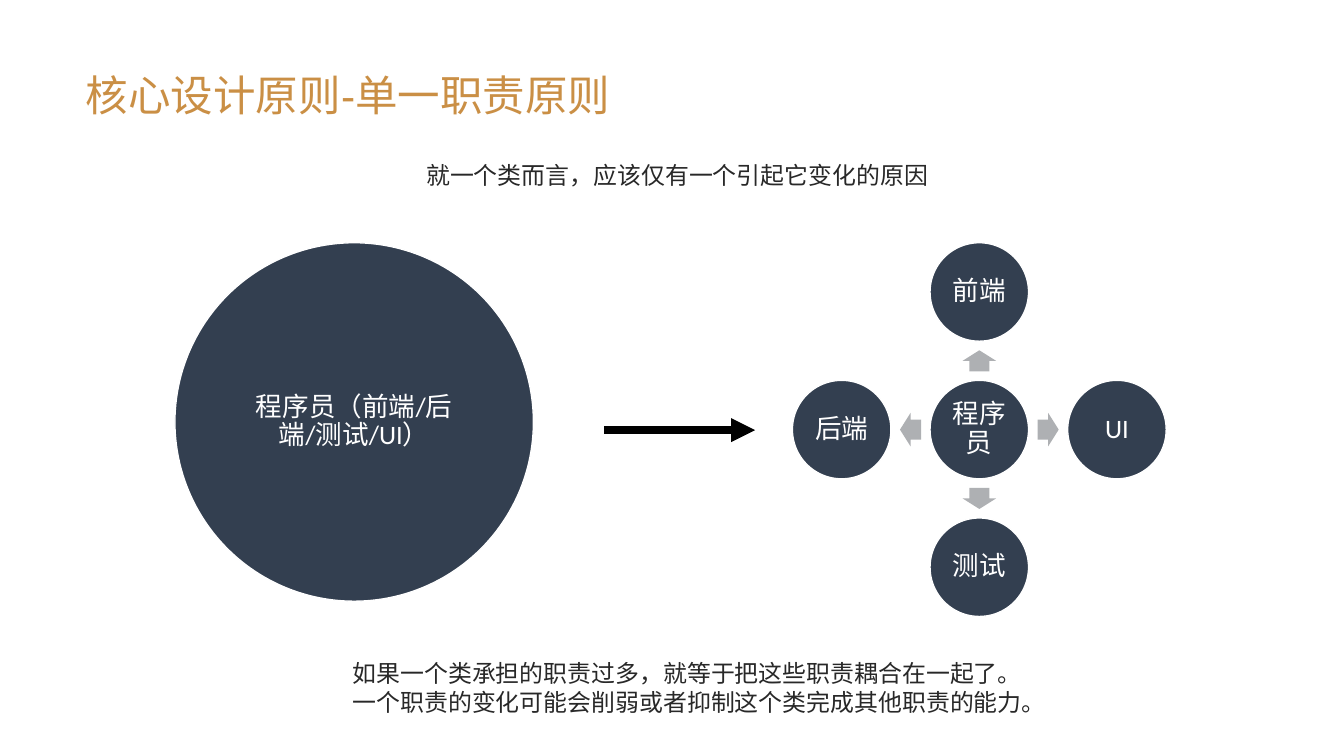
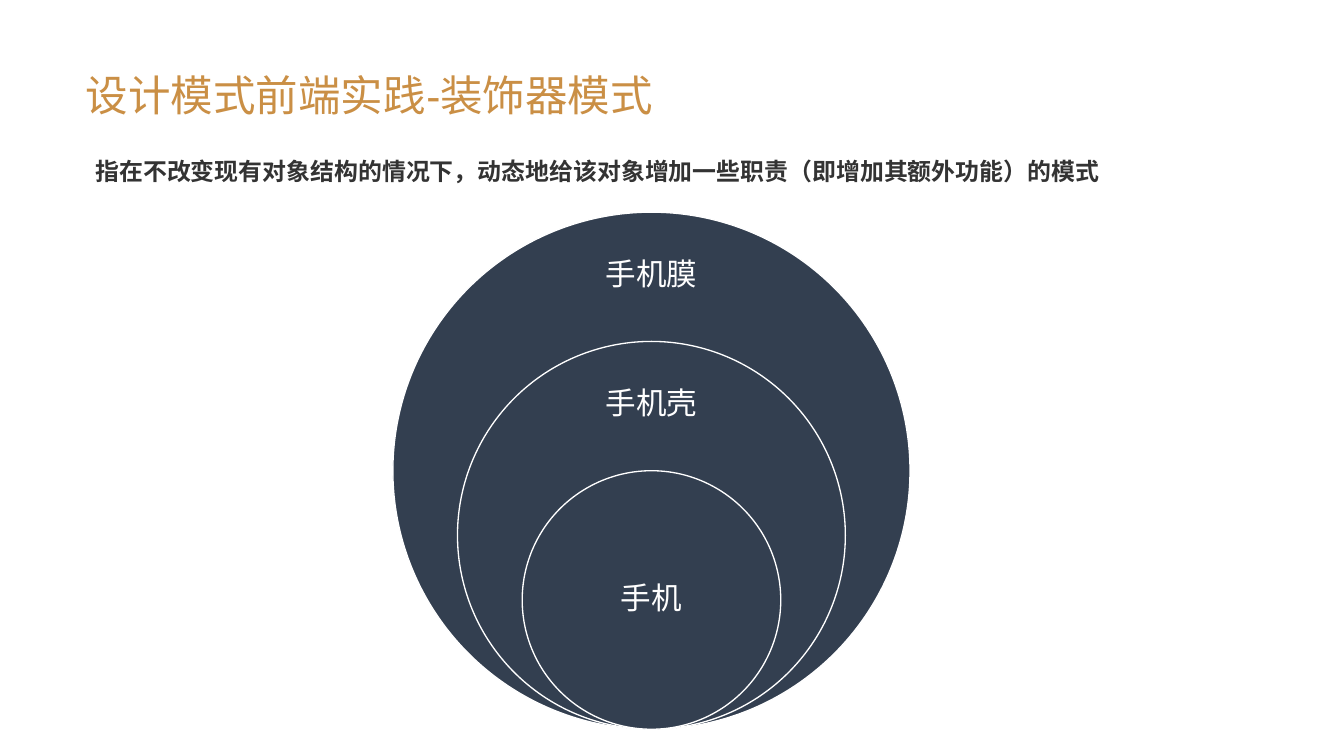
from pptx import Presentation
from pptx import util as u
from pptx.dml.color import RGBColor
from pptx.enum import shapes, text
from pptx.oxml.ns import qn
from lxml import etree

PX = 9144  # 100 px to the inch
COLORS = {"gold": "CA8F45", "navy": "333F50", "grey": "AEB0B3", "white": "FFFFFF",
          "black": "000000", "ink": "282828", "dark": "333333"}
CJK = "Noto Sans CJK SC"


def px(*lengths):
    return [u.Emu(round(length * PX)) for length in lengths]


def rgb(name):
    return RGBColor.from_string(COLORS[name])


def set_text(shape, words, size, font, color, inset, bold=None, centered=False):
    frame = shape.text_frame
    frame.word_wrap = True
    frame.margin_left, frame.margin_top, frame.margin_right, frame.margin_bottom = px(*inset)
    frame.text = words
    paragraph = frame.paragraphs[0]
    if centered:
        frame.vertical_anchor = text.MSO_ANCHOR.MIDDLE
        paragraph.alignment = text.PP_ALIGN.CENTER
        paragraph.line_spacing = 0.9
    run = paragraph.runs[0]
    run.font.size, run.font.name, run.font.bold = u.Pt(size), font, bold
    run.font.color.rgb = rgb(color)
    etree.SubElement(run.font._element, qn("a:ea")).set("typeface", CJK)
    return frame


def add_title(slide, words):
    box = slide.shapes.add_textbox(*px(90, 72, 810, 54))
    frame = set_text(box, words, 32, "Arial", "gold", (0, 0, 0, 0))
    frame.vertical_anchor = text.MSO_ANCHOR.MIDDLE


def add_statement(slide, box, words, color="ink", bold=None, wrap=True):
    statement = slide.shapes.add_textbox(*px(*box))
    frame = set_text(statement, words, 18, CJK, color, (10, 5, 10, 5), bold)
    frame.word_wrap = wrap
    frame.auto_size = text.MSO_AUTO_SIZE.SHAPE_TO_FIT_TEXT


def add_circle(slide, left, top, diameter, label=None, size=20):
    circle = slide.shapes.add_shape(shapes.MSO_SHAPE.OVAL, *px(left, top, diameter, diameter))
    circle.shadow.inherit = False
    circle.fill.solid()
    circle.fill.fore_color.rgb = rgb("navy")
    circle.line.color.rgb = rgb("white")
    circle.line.width = u.Pt(1)
    if label:
        set_text(circle, label, size, "Calibri", "white", (3, 3, 3, 3), centered=True)


def add_spoke(slide, center_x, center_y, angle):
    width, height = 22, 35
    spoke = slide.shapes.add_shape(
        shapes.MSO_SHAPE.RIGHT_ARROW,
        *px(center_x - width / 2, center_y - height / 2, width, height))
    spoke.adjustments[0], spoke.adjustments[1] = 0.6, 0.5
    spoke.rotation = angle
    spoke.shadow.inherit = False
    spoke.fill.solid()
    spoke.fill.fore_color.rgb = rgb("grey")
    spoke.line.fill.background()


def add_hub(slide, left, top, side, hub, roles):
    """Place a hub circle with one role above, right, below and left of it."""
    node = 103
    pitch = (side - node) / 2
    center_x, center_y = left + side / 2, top + side / 2
    add_circle(slide, center_x - node / 2, center_y - node / 2, node, hub)
    directions = [(0, -1, 270), (1, 0, 0), (0, 1, 90), (-1, 0, 180)]
    for role, (dx, dy, angle) in zip(roles, directions):
        add_spoke(slide, center_x + dx * pitch / 2, center_y + dy * pitch / 2, angle)
        add_circle(slide, center_x + dx * pitch - node / 2,
                   center_y + dy * pitch - node / 2, node, role)


def add_split_arrow(slide, left, right, y):
    arrow = slide.shapes.add_connector(shapes.MSO_CONNECTOR.STRAIGHT, *px(left, y, right, y))
    arrow.line.color.rgb = rgb("black")
    arrow.line.width = u.Pt(6)
    etree.SubElement(arrow.line._get_or_add_ln(), qn("a:tailEnd")).set("type", "triangle")
    etree.SubElement(arrow._element.spPr, qn("a:effectLst"))


def add_layers(slide, left, top, side, layers):
    """Nest circles that share their lowest point, outermost first."""
    *outer, core = layers
    step = side / (len(layers) + 1)
    for index, layer in enumerate(outer):
        ring_top = top + index * step
        add_circle(slide, left + index * step / 2, ring_top, side - index * step)
        label = slide.shapes.add_textbox(*px(left + side / 2 - 95, ring_top + 27, 190, 78))
        set_text(label, layer, 23, "Calibri", "white", (18, 18, 18, 18), centered=True)
    inset = len(outer) * step
    add_circle(slide, left + inset / 2, top + inset, side - inset, core, 23)


def build_responsibility_slide(slide):
    add_title(slide, "核心设计原则-单一职责原则")
    add_hub(slide, 829, 254, 391, "程序员", ["前端", "UI", "测试", "后端"])
    add_circle(slide, 183, 254, 375, "程序员（前端/后端/测试/UI）")
    add_split_arrow(slide, 632, 790, 450)
    add_statement(slide, (436, 163, 550, 40),
                  "就一个类而言，应该仅有一个引起它变化的原因", wrap=False)
    add_statement(slide, (359, 684, 730, 71),
                  "如果一个类承担的职责过多，就等于把这些职责耦合在一起了。"
                  "一个职责的变化可能会削弱或者抑制这个类完成其他职责的能力。")


def build_decorator_slide(slide):
    add_title(slide, "设计模式前端实践-装饰器模式")
    add_statement(slide, (90, 159, 1156, 40),
                  "指在不改变现有对象结构的情况下，动态地给该对象增加一些职责"
                  "（即增加其额外功能）的模式", "dark", True)
    add_layers(slide, 411, 222, 541, ["手机膜", "手机壳", "手机"])


def main():
    deck = Presentation()
    deck.slide_width, deck.slide_height = px(1406, 791)
    for build in (build_responsibility_slide, build_decorator_slide):
        build(deck.slides.add_slide(deck.slide_layouts[6]))
    deck.save("out.pptx")


if __name__ == "__main__":
    main()
